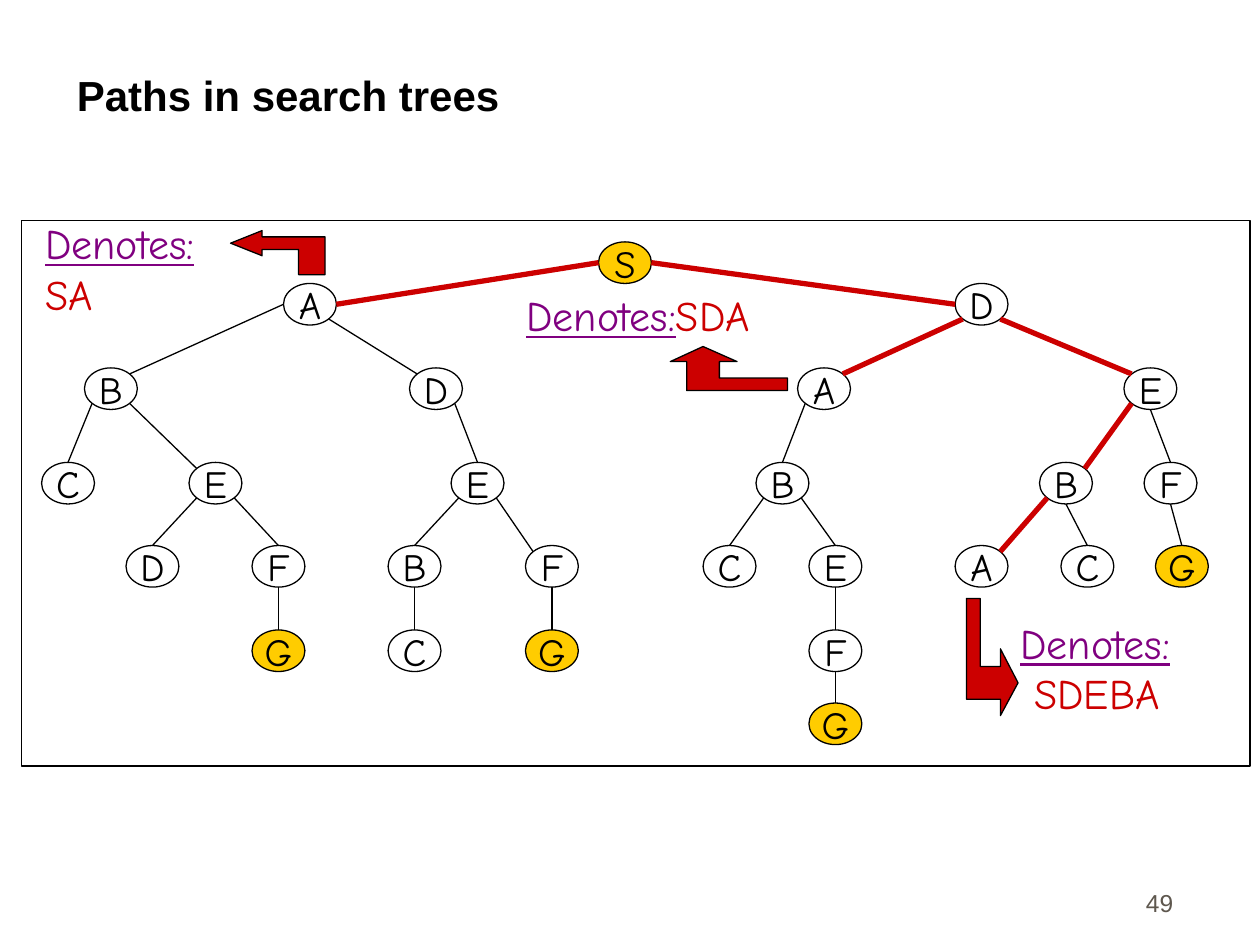
from lxml.etree import SubElement
from pptx import Presentation
from pptx.dml.color import RGBColor
from pptx.enum.shapes import MSO_CONNECTOR as Connector, MSO_SHAPE as Shape
from pptx.enum.text import MSO_ANCHOR as Anchor, MSO_AUTO_SIZE as AutoSize, PP_ALIGN as Align
from pptx.oxml.ns import qn
from pptx.util import Inches, Pt

BLACK = RGBColor(0x00, 0x00, 0x00)
WHITE = RGBColor(0xFF, 0xFF, 0xFF)
GOLD = RGBColor(0xFF, 0xCC, 0x00)
RED = RGBColor(0xCC, 0x00, 0x00)
PURPLE = RGBColor(0x80, 0x00, 0x80)
GRAY = RGBColor(0x5E, 0x57, 0x4E)

TITLE_FONT = {"name": "Arial", "size": Pt(24), "bold": True}
NODE_FONT = {"name": "Comic Neue", "size": Pt(22)}
LABEL_FONT = {"name": "Comic Neue", "size": Pt(24), "underline": True}
PATH_FONT = {"name": "Comic Neue", "size": Pt(24), "underline": False}
NUMBER_FONT = {"name": "Arial", "size": Pt(14)}

NODE_WIDTH, NODE_HEIGHT = 0.42, 0.33
ROW_TOPS = [1.92, 2.25, 2.92, 3.67, 4.33, 5, 5.58]
DIAGONAL = 0.71
SITES = {
    "t": (0, -1), "b": (0, 1), "l": (-1, 0), "r": (1, 0),
    "tl": (-DIAGONAL, -DIAGONAL), "tr": (DIAGONAL, -DIAGONAL),
    "bl": (-DIAGONAL, DIAGONAL), "br": (DIAGONAL, DIAGONAL),
}

NODE_LEFTS = {
    "S": 4.75, "SA": 2.25, "SD": 7.58,
    "SAB": 0.67, "SAD": 3.25, "SDA": 6.33, "SDE": 8.92,
    "SABC": 0.33, "SABE": 1.5, "SADE": 3.58, "SDAB": 6, "SDEB": 8.25, "SDEF": 9.08,
    "SABED": 1, "SABEF": 2, "SADEB": 3.08, "SADEF": 4.17, "SDABC": 5.58,
    "SDABE": 6.42, "SDEBA": 7.58, "SDEBC": 8.42, "SDEFG": 9.17,
    "SABEFG": 2, "SADEBC": 3.08, "SADEFG": 4.17, "SDABEF": 6.42, "SDABEFG": 6.42,
}
EDGE_SITES = {
    "SA": ("l", "r"), "SD": ("r", "l"),
    "SAB": ("l", "tr"), "SAD": ("br", "tl"), "SDA": ("bl", "tr"), "SDE": ("br", "tl"),
    "SABC": ("bl", "t"), "SABE": ("br", "tl"), "SADE": ("br", "t"),
    "SDAB": ("bl", "t"), "SDEB": ("bl", "tr"),
    "SABED": ("bl", "t"), "SABEF": ("br", "t"), "SADEB": ("bl", "t"),
    "SADEF": ("br", "tl"), "SDABC": ("bl", "t"), "SDABE": ("br", "t"), "SDEBA": ("bl", "tr"),
}
DENOTED_PATHS = ["SA", "SDA", "SDEBA"]

ARROWS = [
    [(2.37, 2.18), (2.37, 1.98), (2.08, 1.98), (2.08, 2.03), (1.83, 1.93),
     (2.08, 1.83), (2.08, 1.88), (2.58, 1.88), (2.58, 2.18)],
    [(6.25, 3), (5.71, 3), (5.71, 2.87), (5.85, 2.87), (5.58, 2.75),
     (5.32, 2.87), (5.45, 2.87), (5.45, 3.1), (6.25, 3.1)],
    [(7.78, 4.75), (7.78, 5.29), (7.94, 5.29), (7.94, 5.15), (8.08, 5.42),
     (7.94, 5.68), (7.94, 5.55), (7.67, 5.55), (7.67, 4.75)],
]


def set_attributes(target, values):
    for name, value in values.items():
        setattr(target, name, value)


def add_run(paragraph, text, font, color):
    run = paragraph.add_run()
    run.text = text
    set_attributes(run.font, font)
    run.font.color.rgb = color


def style_shape(shape, fill):
    shape.shadow.inherit = False
    shape.fill.solid()
    shape.fill.fore_color.rgb = fill
    shape.line.color.rgb = BLACK
    shape.line.width = Pt(0.75)


def add_title(slide, text):
    title = slide.shapes.title
    set_attributes(title, {"left": Inches(0.51), "top": Inches(0.25),
                           "width": Inches(8.92), "height": Inches(0.75)})
    set_attributes(title.text_frame, {"vertical_anchor": Anchor.BOTTOM, "auto_size": AutoSize.NONE})
    paragraph = title.text_frame.paragraphs[0]
    paragraph.alignment = Align.LEFT
    add_run(paragraph, text, TITLE_FONT, BLACK)


def add_text_box(slide, box, **frame_values):
    frame = slide.shapes.add_textbox(*map(Inches, box)).text_frame
    set_attributes(frame, {"word_wrap": True, **frame_values})
    return frame


def add_denotes(slide, box, path, same_line=False, **frame_values):
    frame = add_text_box(slide, box, **frame_values)
    paragraph = frame.paragraphs[0]
    add_run(paragraph, "Denotes:", LABEL_FONT, PURPLE)
    if not same_line:
        paragraph = frame.add_paragraph()
    add_run(paragraph, path, PATH_FONT, RED)


def add_node(slide, path):
    box = (NODE_LEFTS[path], ROW_TOPS[len(path) - 1], NODE_WIDTH, NODE_HEIGHT)
    node = slide.shapes.add_shape(Shape.OVAL, *map(Inches, box))
    letter = path[-1]
    style_shape(node, GOLD if letter in "SG" else WHITE)
    set_attributes(node.text_frame, {"word_wrap": False, "vertical_anchor": Anchor.MIDDLE})
    paragraph = node.text_frame.paragraphs[0]
    paragraph.alignment = Align.CENTER
    add_run(paragraph, letter, NODE_FONT, BLACK)


def site_position(path, site):
    across, down = SITES[site]
    x = NODE_LEFTS[path] + NODE_WIDTH / 2 * (1 + across)
    y = ROW_TOPS[len(path) - 1] + NODE_HEIGHT / 2 * (1 + down)
    return Inches(x), Inches(y)


def add_edge(slide, path):
    parent_site, child_site = EDGE_SITES.get(path, ("b", "t"))
    start = site_position(path[:-1], parent_site)
    end = site_position(path, child_site)
    edge = slide.shapes.add_connector(Connector.STRAIGHT, *start, *end)
    denoted = any(target.startswith(path) for target in DENOTED_PATHS)
    edge.line.color.rgb = RED if denoted else BLACK
    edge.line.width = Pt(3 if denoted else 0.75)
    SubElement(edge._element.spPr, qn("a:effectLst"))


def add_arrow(slide, points):
    start, *rest = [(Inches(x), Inches(y)) for x, y in points]
    builder = slide.shapes.build_freeform(*start)
    builder.add_line_segments(rest, close=True)
    style_shape(builder.convert_to_shape(), RED)


def add_page_number(slide, number):
    frame = add_text_box(slide, (7.33, 6.83, 2.08, 0.5), vertical_anchor=Anchor.BOTTOM)
    paragraph = frame.paragraphs[0]
    set_attributes(paragraph, {"alignment": Align.RIGHT, "space_before": Pt(8.8)})
    add_run(paragraph, number, NUMBER_FONT, GRAY)


def main():
    presentation = Presentation()
    set_attributes(presentation, {"slide_width": Inches(10), "slide_height": Inches(7.5)})
    slide = presentation.slides.add_slide(presentation.slide_layouts[5])
    add_title(slide, "Paths in search trees")
    frame = slide.shapes.add_shape(Shape.RECTANGLE, *map(Inches, (0.17, 1.75, 9.75, 4.33)))
    style_shape(frame, WHITE)
    for path in NODE_LEFTS:
        add_node(slide, path)
    for path in NODE_LEFTS:
        if len(path) > 1:
            add_edge(slide, path)
    add_denotes(slide, (0.26, 1.68, 1.4, 0.9), "SA", word_wrap=False)
    add_denotes(slide, (4.08, 2.25, 2.33, 0.5), "SDA", same_line=True)
    add_denotes(slide, (8, 4.85, 1.66, 0.9), " SDEBA")
    for points in ARROWS:
        add_arrow(slide, points)
    add_page_number(slide, "49")
    presentation.save("out.pptx")


if __name__ == "__main__":
    main()
